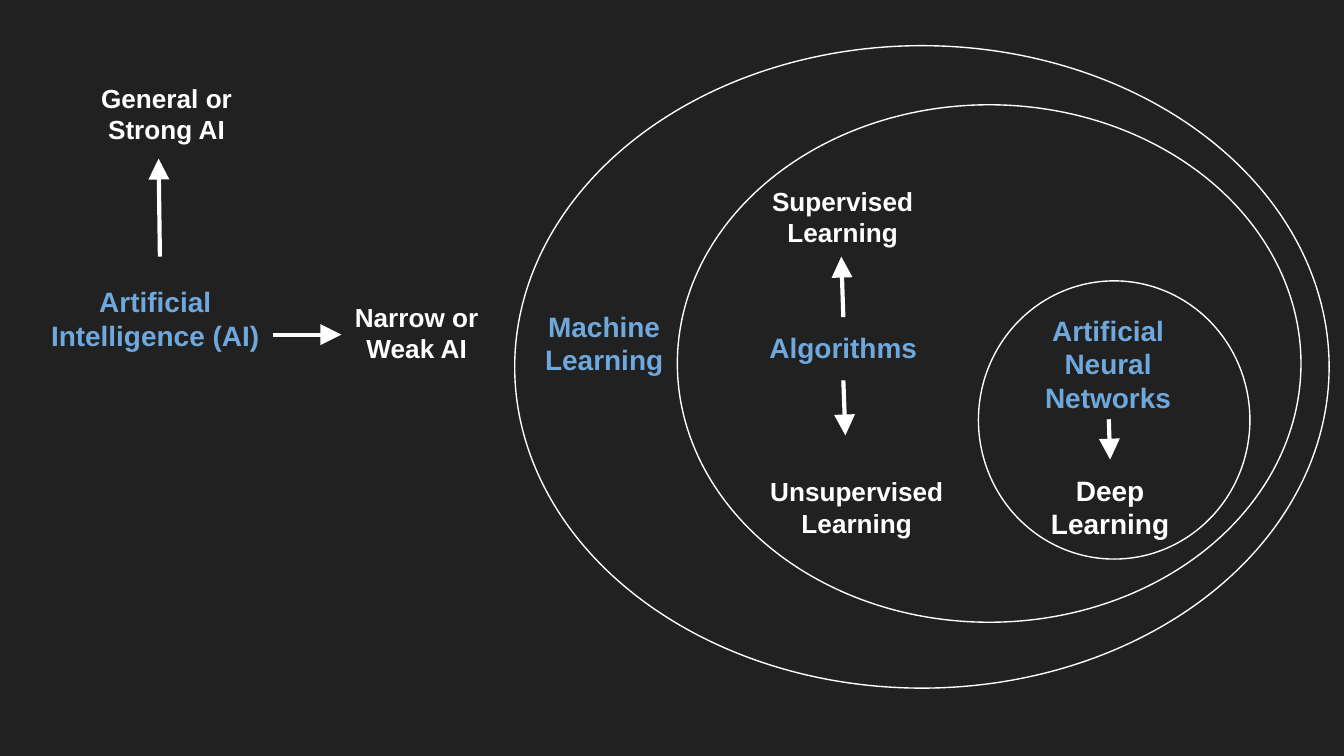
from dataclasses import dataclass

from lxml import etree
from pptx import Presentation
from pptx import util as u
from pptx.dml.color import RGBColor
from pptx.enum import shapes, text
from pptx.oxml import ns


@dataclass(frozen=True)
class Theme:
    background: RGBColor = RGBColor.from_string("212121")
    light: RGBColor = RGBColor.from_string("FFFFFF")
    accent: RGBColor = RGBColor.from_string("6FA8DC")
    font: str = "Arial"
    term_size: int = 15
    kind_size: int = 14
    ring_width: float = 0.75
    arrow_width: float = 2.25
    label_height: float = 0.47
    inset: float = 0.1


@dataclass(frozen=True)
class Box:
    left: float
    top: float
    width: float
    height: float

    def at(self, x, y):
        """Slide position of a point measured from the box's corner."""
        return u.Inches(self.left + x), u.Inches(self.top + y)


THEME = Theme()


def add_label(page, area, wording, *, x, y, width,
              size=THEME.kind_size, color=THEME.light):
    label = page.shapes.add_textbox(
        *area.at(x, y), u.Inches(width), u.Inches(THEME.label_height))
    frame = label.text_frame
    frame.word_wrap = True
    frame.vertical_anchor = text.MSO_ANCHOR.TOP
    frame.margin_left = frame.margin_right = u.Inches(THEME.inset)
    frame.margin_top = frame.margin_bottom = u.Inches(THEME.inset)
    para = frame.paragraphs[0]
    para.alignment = text.PP_ALIGN.CENTER
    span = para.add_run()
    span.text = wording
    span.font.name = THEME.font
    span.font.size = u.Pt(size)
    span.font.bold = True
    span.font.color.rgb = color
    return label


def add_term(page, area, wording, **layout):
    return add_label(page, area, wording, size=THEME.term_size,
                     color=THEME.accent, **layout)


def add_arrow(page, area, start, end):
    arrow = page.shapes.add_connector(
        shapes.MSO_CONNECTOR.STRAIGHT, *area.at(*start), *area.at(*end))
    arrow.line.color.rgb = THEME.light
    arrow.line.width = u.Pt(THEME.arrow_width)
    outline = arrow._element.spPr.find(ns.qn("a:ln"))
    etree.SubElement(outline, ns.qn("a:tailEnd"), type="triangle", w="lg", len="lg")
    etree.SubElement(arrow._element.spPr, ns.qn("a:effectLst"))
    return arrow


def add_ring(page, area):
    ring = page.shapes.add_shape(
        shapes.MSO_SHAPE.OVAL, *area.at(0, 0),
        u.Inches(area.width), u.Inches(area.height))
    ring.shadow.inherit = False
    ring.fill.background()
    ring.line.color.rgb = THEME.light
    ring.line.width = u.Pt(THEME.ring_width)


def add_intelligence(page, area):
    add_term(page, area, "Artificial Intelligence (AI)", x=0, y=1.51, width=1.81)
    add_label(page, area, "Narrow or Weak AI", x=2.04, y=1.63, width=1.62)
    add_label(page, area, "General or Strong AI", x=0.31, y=0, width=1.36)
    add_arrow(page, area, (0.94, 1.4), (0.93, 0.67))
    add_arrow(page, area, (1.78, 1.98), (2.29, 1.98))


def add_machine_learning(page, area):
    add_ring(page, area)
    add_term(page, area, "Machine Learning", x=-0.24, y=1.86, width=1.81)


def add_algorithms(page, area):
    add_ring(page, area)
    add_label(page, area, "Supervised Learning", x=0.42, y=0.5, width=1.62)
    add_label(page, area, "Unsupervised Learning", x=0.48, y=2.66, width=1.71)
    algorithms = add_term(page, area, "Algorithms", x=0.42, y=1.58, width=1.63)
    upward = add_arrow(page, area, (1.23, 1.58), (1.22, 1.13))
    upward.begin_connect(algorithms, 0)
    downward = add_arrow(page, area, (1.23, 2.05), (1.25, 2.46))
    downward.begin_connect(algorithms, 2)


def add_neural_networks(page, area):
    add_ring(page, area)
    add_term(page, area, "Artificial Neural Networks", x=0.23, y=0.14, width=1.47)
    deep = add_label(page, area, "Deep Learning", x=0.3, y=1.33, width=1.36,
                     size=THEME.term_size)
    arrow = add_arrow(page, area, (0.97, 1.03), (0.98, 1.33))
    arrow.end_connect(deep, 0)


def main():
    deck = Presentation()
    # Widescreen, 16:9
    deck.slide_width = u.Inches(10)
    deck.slide_height = deck.slide_width * 9 // 16
    page = deck.slides.add_slide(deck.slide_layouts[6])
    page.background.fill.solid()
    page.background.fill.fore_color.rgb = THEME.background

    # Nested fields, from the outermost ring inwards
    add_machine_learning(page, Box(3.83, 0.34, 6.06, 4.78))
    add_algorithms(page, Box(5.04, 0.78, 4.64, 3.85))
    add_neural_networks(page, Box(7.28, 2.09, 2.02, 2.07))

    # Two kinds of AI on the left
    add_intelligence(page, Box(0.25, 0.51, 3.66, 2.1))

    deck.save("out.pptx")


if __name__ == "__main__":
    main()
